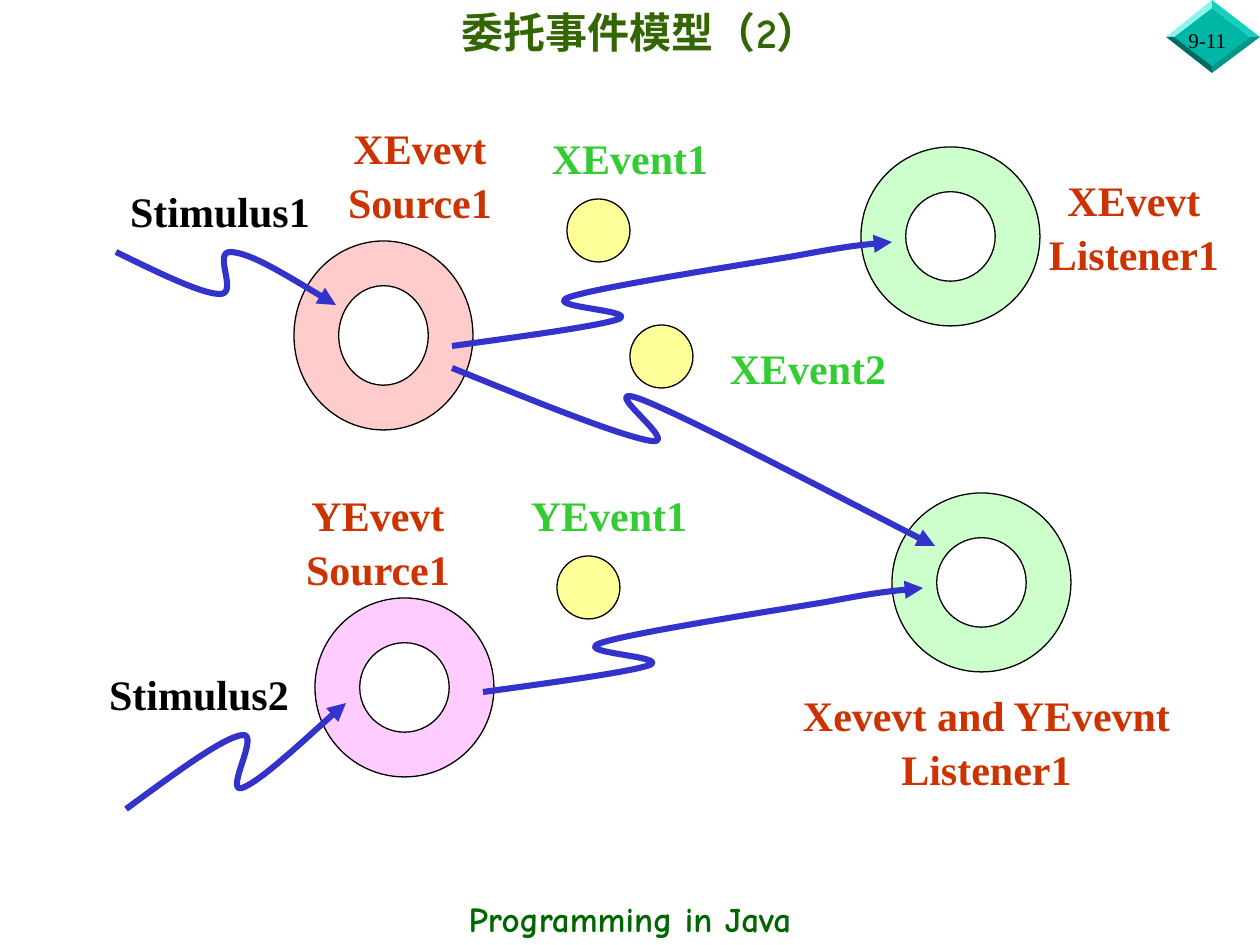
from lxml import etree
from pptx import Presentation
from pptx.dml.color import RGBColor
from pptx.enum.shapes import MSO_SHAPE
from pptx.enum.text import MSO_ANCHOR, PP_ALIGN
from pptx.oxml.ns import qn
from pptx.util import Pt

DONUT, OVAL = MSO_SHAPE.DONUT, MSO_SHAPE.OVAL
LEFT, CENTER = PP_ALIGN.LEFT, PP_ALIGN.CENTER
TOP, MIDDLE = MSO_ANCHOR.TOP, MSO_ANCHOR.MIDDLE

PX = 914400 / 126  # EMU per px
SERIF, COMIC = "Times New Roman", "Comic Neue"

BLACK = RGBColor(0x00, 0x00, 0x00)
TITLE_GREEN = RGBColor(0x33, 0x66, 0x00)
FOOTER_GREEN = RGBColor(0x00, 0x66, 0x00)
RED = RGBColor(0xCC, 0x33, 0x00)
EVENT_GREEN = RGBColor(0x33, 0xCC, 0x33)
ARROW_BLUE = RGBColor(0x33, 0x33, 0xCC)
PINK = RGBColor(0xFF, 0xCC, 0xCC)
VIOLET = RGBColor(0xFF, 0xCC, 0xFF)
PALE_GREEN = RGBColor(0xCC, 0xFF, 0xCC)
YELLOW = RGBColor(0xFF, 0xFF, 0x99)
GEM_FACE = RGBColor(0x00, 0xB7, 0xA5)
GEM_TOP_RIGHT = RGBColor(0x14, 0xD1, 0xBE)
GEM_TOP_LEFT = RGBColor(0x8C, 0xF4, 0xEA)
GEM_LOW_RIGHT = RGBColor(0x00, 0x96, 0x88)
GEM_LOW_LEFT = RGBColor(0x00, 0x6B, 0x61)

# Each curve is a start point followed by Bezier triples
EVENT_CURVE = [(452, 346), (525, 336), (599, 326), (619, 319),
               (638, 310), (539, 307), (570, 297),
               (599, 287), (741, 265), (795, 256),
               (848, 246), (871, 244), (892, 242)]
XEVENT2_CURVE = [(452, 368), (536, 402), (620, 436), (651, 441),
                 (683, 446), (593, 382), (640, 399),
                 (688, 417), (886, 522), (935, 546)]
STIMULUS1_CURVE = [(116, 252), (159, 273), (202, 294), (220, 294),
                   (239, 294), (212, 251), (231, 252),
                   (251, 253), (294, 280), (336, 305)]
STIMULUS2_CURVE = [(126, 809), (174, 774), (222, 738), (242, 735),
                   (261, 732), (224, 793), (242, 788),
                   (260, 782), (329, 717), (346, 703)]


def emu(*values):
    return [round(v * PX) for v in values]


def add_text(s, text, box, size=24, font=SERIF, color=BLACK, bold=True,
             align=CENTER, anchor=TOP):
    tf = s.shapes.add_textbox(*emu(*box)).text_frame
    tf.word_wrap = True
    tf.vertical_anchor = anchor
    for i, line in enumerate(text.split("\n")):
        p = tf.add_paragraph() if i else tf.paragraphs[0]
        p.alignment = align
        if i:
            p.line_spacing = 0.5
            p.space_before = Pt(15)
        r = p.add_run()
        r.text = line
        r.font.name, r.font.size, r.font.bold = font, Pt(size), bold
        r.font.color.rgb = color


def add_round(s, kind, box, fill):
    sp = s.shapes.add_shape(kind, *emu(*box))
    sp.shadow.inherit = False
    sp.fill.solid()
    sp.fill.fore_color.rgb = fill
    sp.line.color.rgb = BLACK
    sp.line.width = Pt(0.75)


def add_outline(shapes, points, close):
    builder = shapes.build_freeform(*points[0], scale=PX)
    builder.add_line_segments(points[1:], close=close)
    sp = builder.convert_to_shape()
    sp.shadow.inherit = False
    return sp


def add_polygon(shapes, points, fill):
    sp = add_outline(shapes, points, close=True)
    sp.fill.solid()
    sp.fill.fore_color.rgb = fill
    sp.line.fill.background()


def add_curved_arrow(s, points, dx=0, dy=0):
    sp = add_outline(s.shapes, [(x + dx, y + dy) for x, y in points], close=False)
    sp.fill.background()
    sp.line.color.rgb = ARROW_BLUE
    sp.line.width = Pt(3.5)
    # Merge each three line segments into one Bezier segment
    segments = list(sp._element.iter(qn("a:lnTo")))
    for i in range(0, len(segments), 3):
        curve = etree.Element(qn("a:cubicBezTo"))
        segments[i].addprevious(curve)
        for segment in segments[i:i + 3]:
            curve.append(segment[0])
            segment.getparent().remove(segment)
    ln = sp.line._get_or_add_ln()
    etree.SubElement(ln, qn("a:tailEnd"), type="triangle")


def add_page_badge(s):
    top, right, bottom, left = (1212, 0), (1260, 37), (1212, 73), (1166, 37)
    in_top, in_right, in_bottom, in_left = (1212, 8), (1250, 37), (1212, 66), (1174, 37)
    shapes = s.shapes.add_group_shape().shapes
    for points, fill in [
        ((in_top, in_left, in_bottom, in_right), GEM_FACE),
        ((in_top, top, right, in_right), GEM_TOP_RIGHT),
        ((top, in_top, in_left, left), GEM_TOP_LEFT),
        ((in_right, right, bottom, in_bottom), GEM_LOW_RIGHT),
        ((in_left, in_bottom, bottom, left), GEM_LOW_LEFT),
    ]:
        add_polygon(shapes, points, fill)
    add_text(s, "9-11", (1176, 21, 84, 38), size=12, bold=False, align=LEFT)


def main():
    prs = Presentation()
    prs.slide_width, prs.slide_height = emu(1260, 945)
    s = prs.slides.add_slide(prs.slide_layouts[6])

    # Page badge, footer and title
    add_page_badge(s)
    add_text(s, "Programming in Java", (0, 891, 1260, 55), size=20, font=COMIC,
             color=FOOTER_GREEN)
    add_text(s, "委托事件模型（2）", (105, 0, 1071, 63), font=COMIC,
             color=TITLE_GREEN, anchor=MIDDLE)

    # Sources and listeners
    for x, y, h, fill in [(294, 241, 189, PINK), (315, 598, 179, VIOLET),
                          (861, 147, 179, PALE_GREEN), (892, 493, 179, PALE_GREEN)]:
        add_round(s, DONUT, (x, y, 179, h), fill)

    # Event and stimulus arrows
    add_curved_arrow(s, EVENT_CURVE)
    add_curved_arrow(s, XEVENT2_CURVE)
    add_curved_arrow(s, EVENT_CURVE, dx=31, dy=346)
    add_curved_arrow(s, STIMULUS1_CURVE)
    add_curved_arrow(s, STIMULUS2_CURVE)

    # Event objects
    for x, y in [(567, 199), (630, 325), (557, 556)]:
        add_round(s, OVAL, (x, y, 63, 63), YELLOW)

    # Labels
    for text, x, y, w, color in [
        ("Stimulus1", 115, 179, 210, BLACK),
        ("Stimulus2", 94, 662, 210, BLACK),
        ("XEvevt\nSource1", 315, 116, 210, RED),
        ("YEvevt\nSource1", 273, 483, 210, RED),
        ("XEvent1", 525, 126, 210, EVENT_GREEN),
        ("XEvent2", 703, 336, 210, EVENT_GREEN),
        ("YEvent1", 504, 483, 210, EVENT_GREEN),
        ("XEvevt\nListener1", 1029, 168, 210, RED),
        ("Xevevt and YEvevnt\nListener1", 766, 683, 441, RED),
    ]:
        add_text(s, text, (x, y, w, 115 if "\n" in text else 63), color=color)

    prs.save("out.pptx")


if __name__ == "__main__":
    main()
